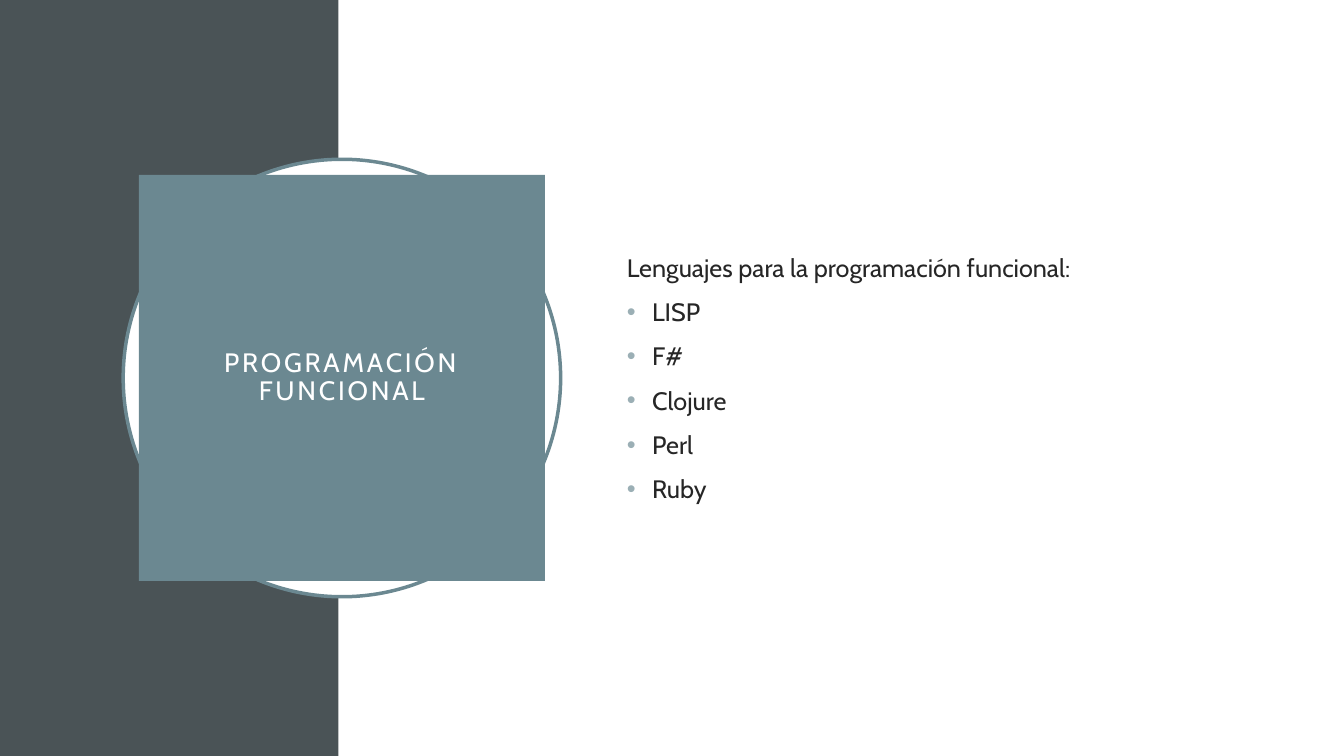
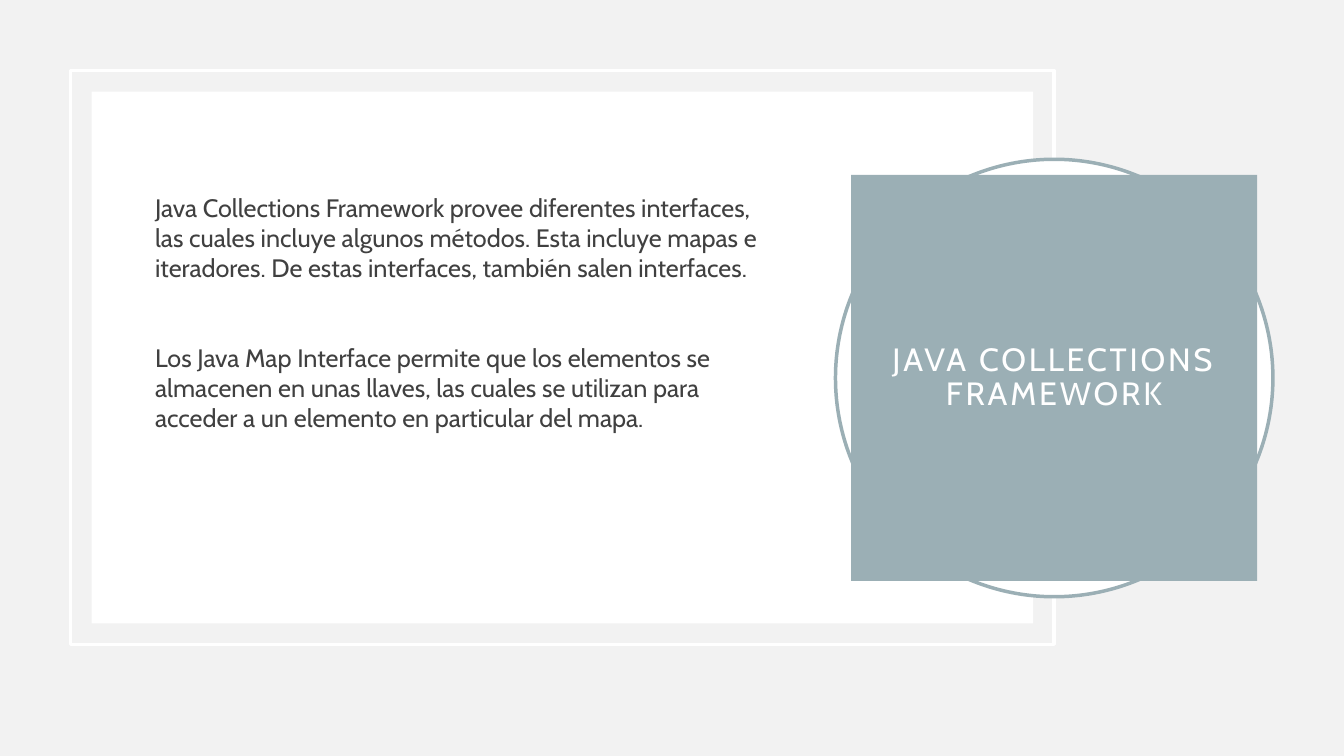
from lxml.etree import SubElement
from pptx import Presentation
from pptx.dml.color import RGBColor
from pptx.enum.shapes import MSO_SHAPE as Shape
from pptx.enum.text import MSO_ANCHOR as Anchor, PP_ALIGN as Align
from pptx.oxml.ns import qn
from pptx.util import Emu, Inches, Pt

# Grid: 64 columns by 36 rows of square cells
COLUMNS, ROWS = 64, 36
CELL = 190500

# Style
FONT = "Cabin"
WHITE = RGBColor(0xFF, 0xFF, 0xFF)
PALE_GREY = RGBColor(0xF2, 0xF2, 0xF2)
SLATE = RGBColor(0x4A, 0x53, 0x56)
TEAL = RGBColor(0x6B, 0x88, 0x91)
MIST = RGBColor(0x9B, 0xAF, 0xB5)
INK = RGBColor(0x26, 0x26, 0x26)
GRAPHITE = RGBColor(0x40, 0x40, 0x40)


def cells(count):
    return Emu(round(count * CELL))


def write(paragraph, text, *, size=18, color=INK, align=Align.LEFT,
          before=0, line=1.0, tracking=0, bullet=None):
    """Fill a paragraph; bullet is the colour of its dot, if it has one."""
    paragraph.alignment = align
    paragraph.space_before = Pt(before)
    paragraph.line_spacing = line
    run = paragraph.add_run()
    run.text = text
    run.font.name, run.font.size = FONT, Pt(size)
    run.font.color.rgb = color
    if tracking:
        run._r.get_or_add_rPr().set("spc", str(tracking * 100))
    if bullet is not None:
        props = paragraph._p.get_or_add_pPr()
        props.set("marL", str(Inches(0.25)))
        props.set("indent", str(-Inches(0.25)))
        dot_color = SubElement(props, qn("a:buClr"))
        SubElement(dot_color, qn("a:srgbClr"), val=str(bullet))
        SubElement(props, qn("a:buFont"), typeface="Arial")
        SubElement(props, qn("a:buChar"), char="•")


class Deck:
    """The presentation, its style and the current slide."""

    def __init__(self):
        self.show = Presentation()
        self.show.slide_width = cells(COLUMNS)
        self.show.slide_height = cells(ROWS)
        self.slide = None

    def new_slide(self, background):
        self.slide = self.show.slides.add_slide(self.show.slide_layouts[6])
        fill = self.slide.background.fill
        fill.solid()
        fill.fore_color.rgb = background

    def block(self, left, top, width, height, *, fill=None, line=None,
              kind=Shape.RECTANGLE):
        block = self.slide.shapes.add_shape(
            kind, *map(cells, (left, top, width, height)))
        block.shadow.inherit = False
        if fill is None:
            block.fill.background()
        else:
            block.fill.solid()
            block.fill.fore_color.rgb = fill
        if line is None:
            block.line.fill.background()
        else:
            block.line.color.rgb = line
            block.line.width = Pt(2.5)
        return block

    def centred(self, center, side, **style):
        return self.block(center - side / 2, (ROWS - side) / 2, side, side, **style)

    def title_emblem(self, center, text, *, color, size):
        """A title square over a ringed circle, halfway down the slide."""
        self.centred(center, 20.83, fill=WHITE, line=color, kind=Shape.OVAL)
        frame = self.centred(center, 19.34, fill=color).text_frame
        frame.word_wrap = True
        frame.vertical_anchor = Anchor.MIDDLE
        frame.margin_left = frame.margin_right = Inches(0.2)
        frame.margin_top = frame.margin_bottom = Inches(0.2)
        write(frame.paragraphs[0], text, size=size, color=WHITE,
              align=Align.CENTER, line=0.9, tracking=2)

    def body(self, left, top, width, height, paragraphs, *, bottom=0.05):
        """Paragraphs as (text, format) pairs, centred above the bottom inset."""
        box = self.slide.shapes.add_textbox(
            *map(cells, (left, top, width, height)))
        frame = box.text_frame
        frame.word_wrap = True
        frame.vertical_anchor = Anchor.MIDDLE
        frame.margin_bottom = Inches(bottom)
        for index, (text, style) in enumerate(paragraphs):
            paragraph = frame.add_paragraph() if index else frame.paragraphs[0]
            write(paragraph, text, **style)


def functional_programming(deck):
    deck.new_slide(WHITE)
    # Side band and title
    deck.block(0, 0, 16.12, ROWS, fill=SLATE)
    deck.title_emblem(16.28, "PROGRAMACIÓN FUNCIONAL", color=TEAL, size=19)
    # Languages
    languages = ["LISP", "F#", "Clojure", "Perl", "Ruby"]
    intro = ("Lenguajes para la programación funcional:", dict(before=10))
    deck.body(29.38, 7.36, 27.94, 21.28, [intro] + [
        (name, dict(before=10, bullet=MIST)) for name in languages])


def collections_framework(deck):
    deck.new_slide(PALE_GREY)
    # Framed card: the frame ends at the centre of the title emblem
    margin, center, frame_height, gap = 3.36, 50.2, 27.32, 1
    frame_width = center - margin
    deck.block(margin, margin, frame_width, frame_height, line=WHITE)
    deck.block(margin + gap, margin + gap, frame_width - 2 * gap,
               frame_height - 2 * gap, fill=WHITE)
    # Explanation
    deck.body(6.91, 6.72, 30, 20.54, [
        ("Java Collections Framework provee diferentes interfaces, las cuales "
         "incluye algunos métodos. Esta incluye mapas e iteradores. De estas "
         "interfaces, también salen interfaces.",
         dict(before=10, color=GRAPHITE)),
        ("Los Java Map Interface permite que los elementos se almacenen en unas "
         "llaves, las cuales se utilizan para acceder a un elemento en "
         "particular del mapa.",
         dict(before=42, color=GRAPHITE)),
    ], bottom=0.93)
    # Title
    deck.title_emblem(center, "JAVA COLLECTIONS FRAMEWORK", color=MIST, size=23)


def main():
    deck = Deck()
    functional_programming(deck)
    collections_framework(deck)
    deck.show.save("out.pptx")


if __name__ == "__main__":
    main()
